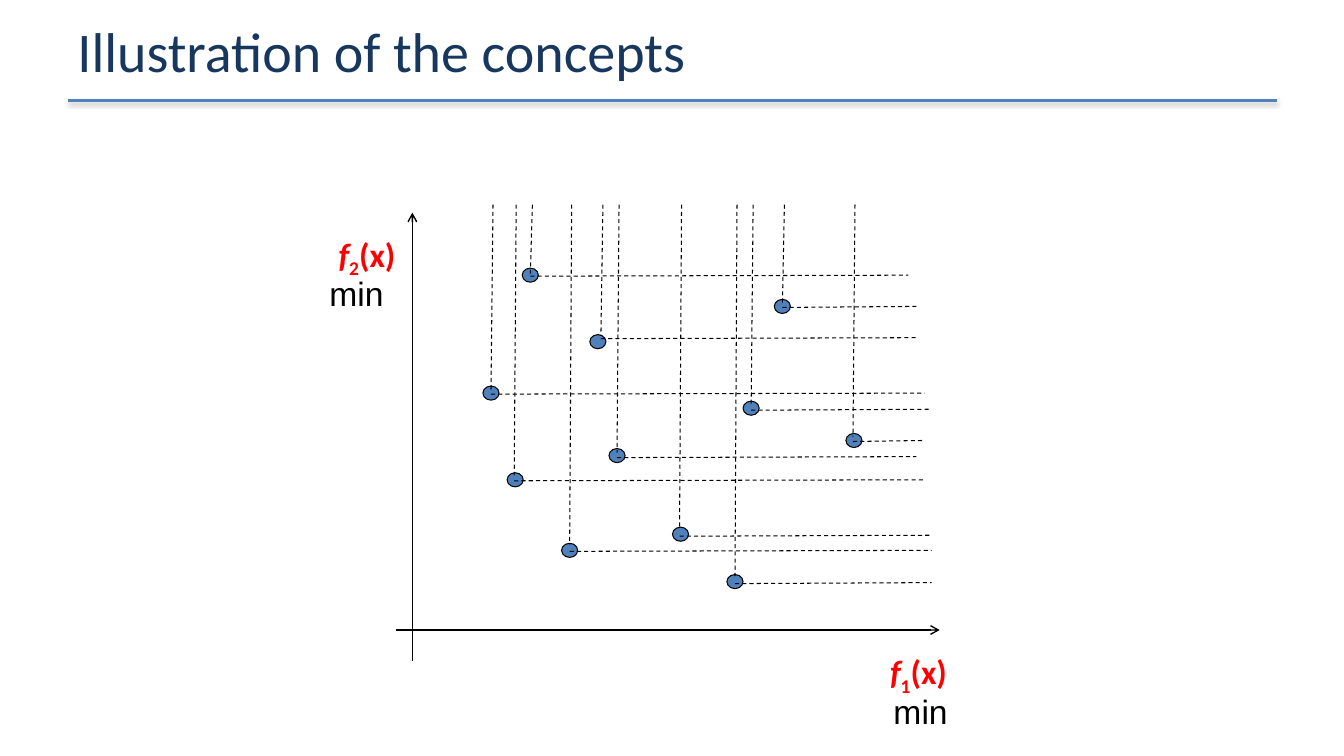
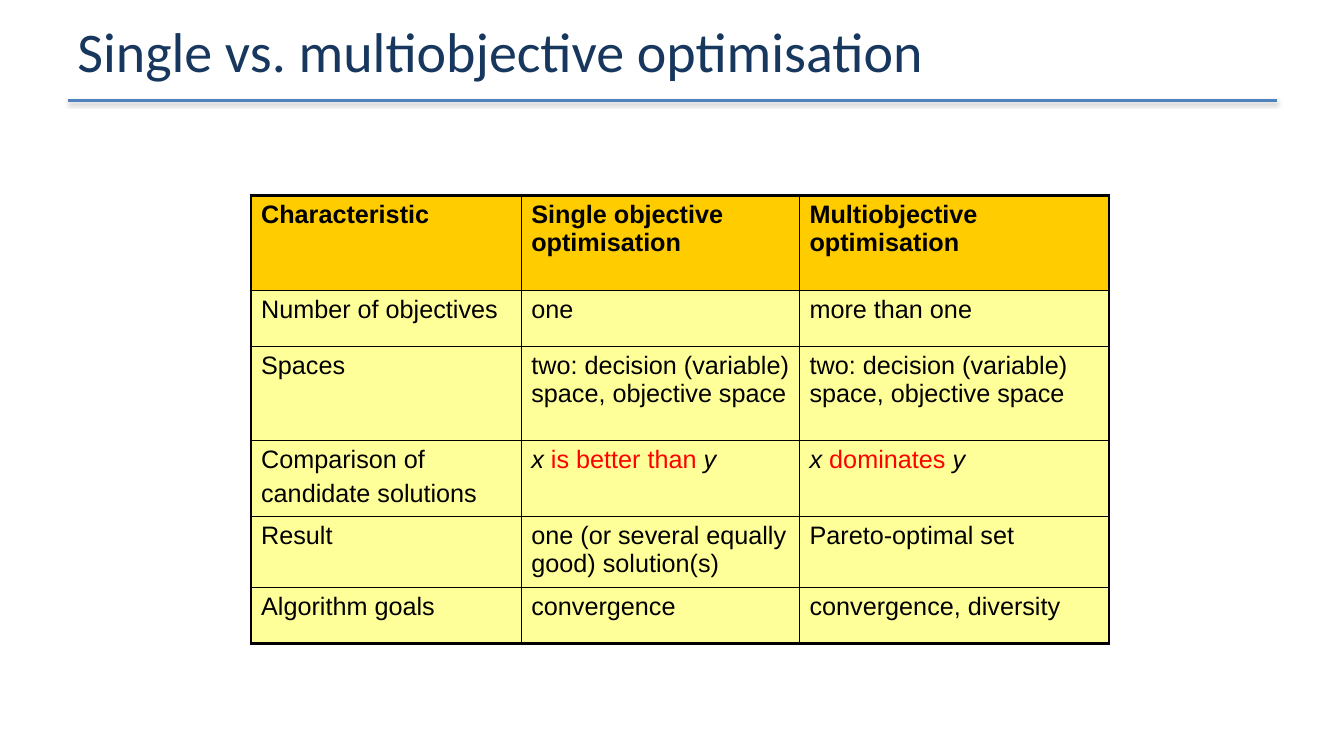
from lxml import etree
from pptx import Presentation
from pptx.dml.color import RGBColor
from pptx.enum.dml import MSO_LINE
from pptx.enum.shapes import MSO_CONNECTOR, MSO_SHAPE
from pptx.enum.text import MSO_ANCHOR, PP_ALIGN
from pptx.oxml.ns import qn
from pptx.util import Inches, Pt

STRAIGHT = MSO_CONNECTOR.STRAIGHT
OVAL = MSO_SHAPE.OVAL
DASH = MSO_LINE.DASH
MIDDLE = MSO_ANCHOR.MIDDLE
CENTER = PP_ALIGN.CENTER

BLACK, RED, BLUE, NAVY = "000000", "FF0000", "4F81BD", "17375E"
HEADER_FILL, BODY_FILL = "FFCC00", "FFFF99"

PLOT_TITLE = "Illustration of the concepts"
AXES = [((3.93, 6.25), (9.32, 6.25)), ((4.09, 6.56), (4.09, 2.11))]
AXIS_LABELS = [("1", (8.62, 6.41, 0.98), (8.62, 6.8, 1.02)),
               ("2", (3.15, 2.27, 0.98), (3.15, 2.66, 0.77))]
LABEL_HEIGHT = 0.51
DOT_WIDTH, DOT_HEIGHT = 0.16, 0.14
GUIDE_TOP = 2.03
# dot centre, guide corner, guide right end
SOLUTIONS = [
    ((5.26, 2.73), (5.26, 2.74), 9.01),
    ((4.87, 3.9), (4.87, 3.91), 9.17),
    ((7.45, 4.05), (7.45, 4.07), 9.24),
    ((5.93, 3.39), (5.96, 3.36), 9.09),
    ((6.12, 4.52), (6.12, 4.54), 9.09),
    ((5.65, 5.46), (5.65, 5.47), 9.24),
    ((5.11, 4.76), (5.1, 4.77), 9.17),
    ((7.76, 3.04), (7.76, 3.05), 9.09),
    ((6.75, 5.3), (6.74, 5.32), 9.24),
    ((8.47, 4.37), (8.46, 4.38), 9.17),
    ((7.29, 5.77), (7.29, 5.79), 9.24),
]

TABLE_TITLE = "Single vs. multiobjective optimisation"
TABLE_LEFT, TABLE_TOP = 2.49, 1.94
COLUMN_WIDTHS = [2.68, 2.76, 3.07]
ROW_HEIGHTS = [0.94, 0.56, 0.93, 0.71, 0.67, 0.56]
SPACES = "two: decision (variable) space, objective space"
ROWS = [
    ["Characteristic", "Single objective optimisation", "Multiobjective optimisation"],
    ["Number of objectives", "one", "more than one"],
    ["Spaces", SPACES, SPACES],
    ["Comparison of\ncandidate solutions", ("x ", "is better than ", "y"),
     ("x ", "dominates ", "y")],
    ["Result", "one (or several equally good) solution(s)", "Pareto-optimal set"],
    ["Algorithm goals", "convergence", "convergence, diversity"],
]


def rgb(value):
    return RGBColor.from_string(value)


def style_font(font, name, size, color, bold=False):
    font.name, font.size, font.bold = name, Pt(size), bold
    font.color.rgb = rgb(color)


def add_line(slide, start, end, color, width, dashed=False, arrow=False):
    line = slide.shapes.add_connector(STRAIGHT, *map(Inches, start + end))
    line.line.color.rgb = rgb(color)
    line.line.width = Pt(width)
    if dashed:
        line.line.dash_style = DASH
    properties = line._element.spPr
    if arrow:
        etree.SubElement(properties.find(qn("a:ln")), qn("a:tailEnd"), type="arrow")
    return etree.SubElement(properties, qn("a:effectLst"))


def add_textbox(slide, left, top, width, height):
    frame = slide.shapes.add_textbox(*map(Inches, (left, top, width, height))).text_frame
    frame.word_wrap = True
    return frame


def add_titled_slide(presentation, title):
    slide = presentation.slides.add_slide(presentation.slide_layouts[6])
    effects = add_line(slide, (0.67, 1), (12.67, 1), BLUE, 2)
    shadow = etree.SubElement(effects, qn("a:outerShdw"), blurRad=str(Pt(3.1)),
                              dist=str(Pt(1.6)), dir="5400000", rotWithShape="0")
    color = etree.SubElement(shadow, qn("a:srgbClr"), val=BLACK)
    etree.SubElement(color, qn("a:alpha"), val="38000")
    frame = add_textbox(slide, 0.67, 0.02, 12, 0.95)
    frame.margin_top = frame.margin_bottom = 0
    frame.vertical_anchor = MIDDLE
    frame.text = title
    style_font(frame.paragraphs[0].font, "Calibri", 40, NAVY)
    return slide


def add_axis_label(slide, index, function_place, goal_place):
    paragraph = add_textbox(slide, *function_place, LABEL_HEIGHT).paragraphs[0]
    paragraph.alignment = CENTER
    style_font(paragraph.font, "Calibri", 24, RED, bold=True)
    letter, subscript, argument = [paragraph.add_run() for _ in range(3)]
    letter.text, subscript.text, argument.text = "f", index, "(x)"
    letter.font.italic = True
    subscript._r.get_or_add_rPr().set("baseline", "-25000")

    frame = add_textbox(slide, *goal_place, LABEL_HEIGHT)
    frame.text = "min"
    frame.paragraphs[0].alignment = CENTER
    style_font(frame.paragraphs[0].font, "Arial", 24, BLACK)


def add_dot(slide, x, y):
    dot = slide.shapes.add_shape(OVAL, Inches(x - DOT_WIDTH / 2), Inches(y - DOT_HEIGHT / 2),
                                 Inches(DOT_WIDTH), Inches(DOT_HEIGHT))
    dot.shadow.inherit = False
    dot.fill.solid()
    dot.fill.fore_color.rgb = rgb(BLUE)
    dot.line.color.rgb = rgb(BLACK)
    dot.line.width = Pt(0.75)


def build_plot(presentation):
    slide = add_titled_slide(presentation, PLOT_TITLE)
    for start, end in AXES:
        add_line(slide, start, end, BLACK, 1, arrow=True)
    for label in AXIS_LABELS:
        add_axis_label(slide, *label)
    for center, _, _ in SOLUTIONS:
        add_dot(slide, *center)
    for _, (x, y), right in SOLUTIONS:
        bottom = GUIDE_TOP + 0.98 * (y - GUIDE_TOP)
        add_line(slide, (x + 0.02, GUIDE_TOP), (x, bottom), BLACK, 0.75, dashed=True)
        add_line(slide, (x, y), (right, y - 0.01), BLACK, 0.75, dashed=True)


def set_borders(cell, outer_sides):
    properties = cell._tc.get_or_add_tcPr()
    for position, (side, outer) in enumerate(zip("LRTB", outer_sides)):
        border = etree.Element(qn(f"a:ln{side}"), w=str(Pt(2.25 if outer else 1)))
        fill = etree.SubElement(border, qn("a:solidFill"))
        etree.SubElement(fill, qn("a:srgbClr"), val=BLACK)
        properties.insert(position, border)


def fill_cell(cell, content, header):
    cell.fill.solid()
    cell.fill.fore_color.rgb = rgb(HEADER_FILL if header else BODY_FILL)
    frame = cell.text_frame
    if isinstance(content, str):
        frame.text = content
    else:
        for position, text in enumerate(content):
            run = frame.paragraphs[0].add_run()
            run.text = text
            if position == 1:
                run.font.color.rgb = rgb(RED)
            else:
                run.font.italic = True
    for position, paragraph in enumerate(frame.paragraphs):
        style_font(paragraph.font, "Arial", 18, BLACK, bold=header)
        if position:
            paragraph.space_before = Pt(4)


def build_comparison(presentation):
    slide = add_titled_slide(presentation, TABLE_TITLE)
    last_row, last_column = len(ROWS) - 1, len(COLUMN_WIDTHS) - 1
    table = slide.shapes.add_table(
        len(ROWS), len(COLUMN_WIDTHS), Inches(TABLE_LEFT), Inches(TABLE_TOP),
        Inches(sum(COLUMN_WIDTHS)), Inches(sum(ROW_HEIGHTS))).table
    table.first_row = table.horz_banding = False
    for column, width in zip(table.columns, COLUMN_WIDTHS):
        column.width = Inches(width)
    for row, height in zip(table.rows, ROW_HEIGHTS):
        row.height = Inches(height)
    for row, contents in enumerate(ROWS):
        for column, content in enumerate(contents):
            cell = table.cell(row, column)
            fill_cell(cell, content, header=row == 0)
            set_borders(cell, (column == 0, column == last_column,
                               row == 0, row == last_row))


def main():
    presentation = Presentation()
    presentation.slide_width = Inches(13.33)
    presentation.slide_height = Inches(7.5)
    build_plot(presentation)
    build_comparison(presentation)
    presentation.save("out.pptx")


if __name__ == "__main__":
    main()
